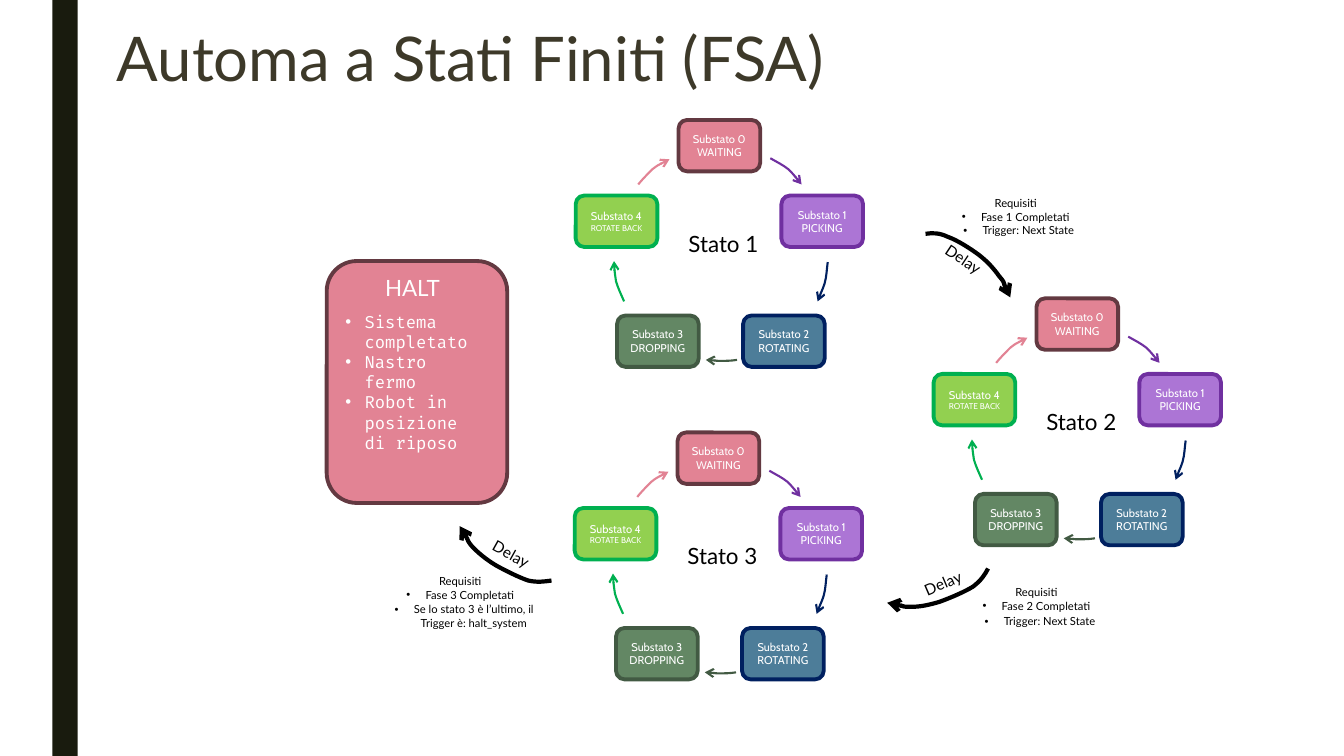
"""Build the slide of a finite state automaton with three cycles and a halt state."""
import dataclasses
import typing

import lxml.etree
import pptx
import pptx.dml.color
import pptx.enum.shapes
import pptx.enum.text
import pptx.oxml.ns
import pptx.util

PX = 9144
COLORS = {
    "bar": "191B0E", "title": "3D3929", "black": "000000", "white": "FFFFFF",
    "rose": "E28394", "maroon": "633941", "lilac": "AC75D5", "purple": "7030A0",
    "steel": "4D7D99", "navy": "002060", "moss": "638764", "forest": "425A43",
    "lime": "92D050", "green": "00B050",
}
LEFT = pptx.enum.text.PP_ALIGN.LEFT
CENTER = pptx.enum.text.PP_ALIGN.CENTER
SHAPES = pptx.enum.shapes.MSO_SHAPE
Points = list[tuple[int, int]]


@dataclasses.dataclass(frozen=True)
class Line:
    text: str
    size: int = 8
    bullet: bool = False


@dataclasses.dataclass(frozen=True)
class Label:
    left: int
    top: int
    width: int
    height: int
    lines: list[Line]
    align: int = LEFT
    color: str = "black"
    rotation: float = 0
    spacing: float = 1.0


@dataclasses.dataclass(frozen=True)
class Block:
    left: int
    top: int
    width: int
    height: int
    fill: str
    border: str
    lines: list[Line]
    font: str = "Cabin"
    align: int = CENTER


@dataclasses.dataclass(frozen=True)
class Curve:
    color: str
    points: Points
    weight: float = 1.5


@dataclasses.dataclass(frozen=True)
class Cycle:
    name: str
    left: int
    top: int


SUBSTATES = [
    (102, 0, "rose", "maroon", "WAITING", 8),
    (204, 75, "lilac", "purple", "PICKING", 8),
    (166, 194, "steel", "navy", "ROTATING", 8),
    (41, 194, "moss", "forest", "DROPPING", 8),
    (0, 75, "lime", "green", "ROTATE BACK", 6),
]
CYCLES = [Cycle("Stato 1", 571, 119), Cycle("Stato 2", 926, 296), Cycle("Stato 3", 570, 429)]
CYCLE_CURVES = [
    Curve("green", [(48, 180), (45, 173), (42, 167), (40, 160), (39, 153), (38, 147), (38, 140)]),
    Curve("rose", [(62, 64), (66, 59), (71, 54), (76, 49), (81, 45), (87, 42), (93, 39)]),
    Curve("purple", [(193, 38), (200, 42), (206, 45), (211, 49), (216, 54), (220, 59), (224, 64)]),
    Curve("navy", [(250, 141), (249, 148), (249, 155), (247, 162), (245, 168), (242, 174), (240, 180)]),
    Curve("forest", [(160, 238), (154, 239), (149, 239), (144, 239), (139, 239), (134, 238), (129, 238)]),
]
TRANSITIONS = [
    Curve("black", [(918, 232), (925, 231), (932, 231), (940, 235), (949, 238), (963, 247), (971, 253),
                    (980, 260), (986, 267), (991, 274), (997, 281), (994, 280), (1002, 295)], 3),
    Curve("black", [(980, 564), (977, 570), (973, 576), (965, 582), (957, 587), (943, 593), (932, 597),
                    (922, 600), (913, 602), (904, 602), (895, 602), (897, 601), (880, 598)], 3),
    Curve("black", [(547, 576), (540, 577), (533, 578), (524, 576), (515, 573), (501, 566), (492, 561),
                    (482, 555), (475, 549), (469, 543), (463, 536), (466, 537), (456, 522)], 3),
]
HALT = Block(324, 259, 179, 240, "rose", "maroon", [
    Line("Sistema completato", 12, True),
    Line("Nastro fermo", 12, True),
    Line("Robot in posizione di riposo", 12, True),
], "Fira Code", LEFT)
LABELS = [
    Label(106, 24, 1050, 101, [Line("Automa a Stati Finiti (FSA)", 44)], color="title", spacing=0.89),
    Label(865, 190, 285, 37, [Line("Requisiti"), Line("Fase 1 Completati", bullet=True)], CENTER),
    Label(919, 576, 218, 37, [Line("Requisiti"), Line("Fase 2 Completati", bullet=True)], CENTER),
    Label(314, 565, 285, 37, [Line("Requisiti"), Line("Fase 3 Completati", bullet=True)], CENTER),
    Label(868, 217, 285, 24, [Line("Trigger: Next State", bullet=True)], CENTER),
    Label(889, 605, 285, 24, [Line("Trigger: Next State", bullet=True)], CENTER),
    Label(373, 593, 175, 37,
          [Line("Se lo stato 3 è l’ultimo, il Trigger è: halt_system", bullet=True)], CENTER),
    Label(372, 267, 89, 37, [Line("HALT", 16)], color="white"),
    Label(924, 250, 85, 29, [Line("Delay", 11)], rotation=33.6),
    Label(905, 559, 85, 29, [Line("Delay", 11)], rotation=336.6),
    Label(476, 542, 85, 29, [Line("Delay", 11)], rotation=29.2),
]


def rgb(name: str) -> pptx.dml.color.RGBColor:
    """Look up a named colour."""
    return pptx.dml.color.RGBColor.from_string(COLORS[name])


def assign(target: typing.Any, values: dict[str, typing.Any]) -> None:
    """Set attributes from format values."""
    for name, value in values.items():
        setattr(target, name, value)


def write(frame: typing.Any, lines: list[Line], font: str, color: str, align: int,
          spacing: float = 1.0) -> None:
    """Fill a text frame with one paragraph per line."""
    frame.word_wrap = True
    for index, line in enumerate(lines):
        para = frame.add_paragraph() if index else frame.paragraphs[0]
        assign(para, {"alignment": align, "line_spacing": spacing})
        if line.bullet:
            properties = para._p.get_or_add_pPr()
            properties.set("marL", str(19 * PX))
            properties.set("indent", str(-19 * PX))
            for tag, key, value in (("a:buFont", "typeface", "Arial"), ("a:buChar", "char", "•")):
                lxml.etree.SubElement(properties, pptx.oxml.ns.qn(tag)).set(key, value)
        span = para.add_run()
        span.text = line.text
        assign(span.font, {"name": font, "size": pptx.util.Pt(line.size)})
        span.font.color.rgb = rgb(color)


def draw_label(page: typing.Any, label: Label) -> None:
    """Draw a text box."""
    box = page.shapes.add_textbox(label.left * PX, label.top * PX, label.width * PX, label.height * PX)
    box.rotation = label.rotation
    write(box.text_frame, label.lines, "Lato", label.color, label.align, label.spacing)


def draw_block(page: typing.Any, block: Block) -> None:
    """Draw a rounded state box."""
    box = page.shapes.add_shape(SHAPES.ROUNDED_RECTANGLE, block.left * PX, block.top * PX,
                                block.width * PX, block.height * PX)
    box.shadow.inherit = False
    box.fill.solid()
    box.fill.fore_color.rgb = rgb(block.fill)
    box.line.color.rgb = rgb(block.border)
    box.line.width = pptx.util.Pt(2.75)
    box.text_frame.vertical_anchor = pptx.enum.text.MSO_ANCHOR.MIDDLE
    write(box.text_frame, block.lines, block.font, "white", block.align)


def draw_curve(page: typing.Any, curve: Curve, left: int = 0, top: int = 0) -> None:
    """Draw a chain of cubic curves ending in an arrowhead."""
    points = [((left + x) * PX, (top + y) * PX) for x, y in curve.points]
    builder = page.shapes.build_freeform(*points[0])
    builder.add_line_segments(points[1:], close=False)
    arrow = builder.convert_to_shape()
    steps = list(arrow._element.iter(pptx.oxml.ns.qn("a:lnTo")))
    for start in range(0, len(steps), 3):
        bend = lxml.etree.SubElement(steps[start].getparent(), pptx.oxml.ns.qn("a:cubicBezTo"))
        for step in steps[start:start + 3]:
            bend.append(step[0])
            step.getparent().remove(step)
    arrow.shadow.inherit = False
    arrow.fill.background()
    arrow.line.color.rgb = rgb(curve.color)
    arrow.line.width = pptx.util.Pt(curve.weight)
    lxml.etree.SubElement(arrow.line._get_or_add_ln(), pptx.oxml.ns.qn("a:tailEnd")).set("type", "arrow")


def draw_cycle(page: typing.Any, cycle: Cycle) -> None:
    """Draw one state with its five substates."""
    for index, (x, y, fill, border, action, size) in enumerate(SUBSTATES):
        lines = [Line(f"Substato {index}"), Line(action, size)]
        draw_block(page, Block(cycle.left + x, cycle.top + y, 81, 51, fill, border, lines))
    draw_label(page, Label(cycle.left + 102, cycle.top + 104, 112, 37, [Line(cycle.name, 16)]))
    for curve in CYCLE_CURVES:
        draw_curve(page, curve, cycle.left, cycle.top)


def main() -> None:
    """Assemble and save the deck."""
    deck = pptx.Presentation()
    assign(deck, {"slide_width": 1333 * PX, "slide_height": 750 * PX})
    page = deck.slides.add_slide(deck.slide_layouts[6])
    bar = page.shapes.add_shape(SHAPES.RECTANGLE, 52 * PX, 0, 25 * PX, 750 * PX)
    bar.shadow.inherit = False
    bar.fill.solid()
    bar.fill.fore_color.rgb = rgb("bar")
    bar.line.fill.background()
    for cycle in CYCLES:
        draw_cycle(page, cycle)
    for curve in TRANSITIONS:
        draw_curve(page, curve)
    draw_block(page, HALT)
    for label in LABELS:
        draw_label(page, label)
    deck.save("out.pptx")


if __name__ == "__main__":
    main()
